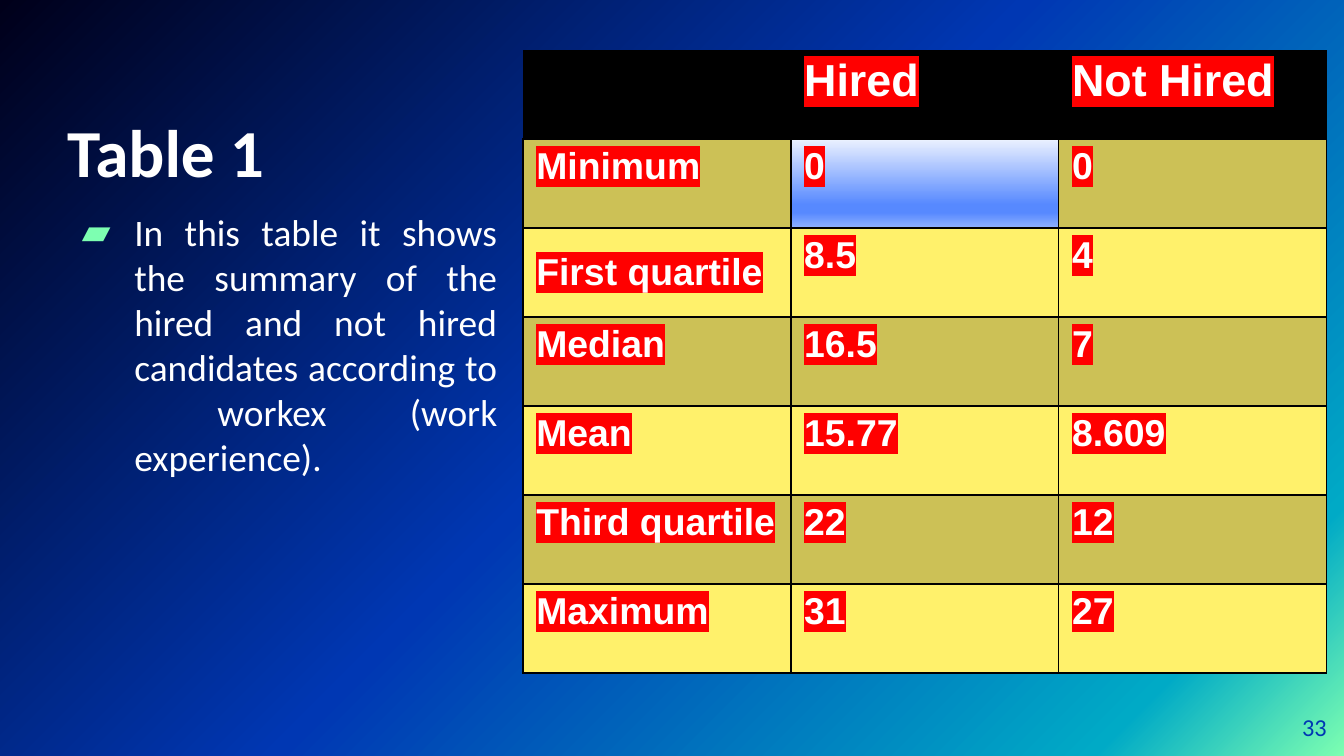
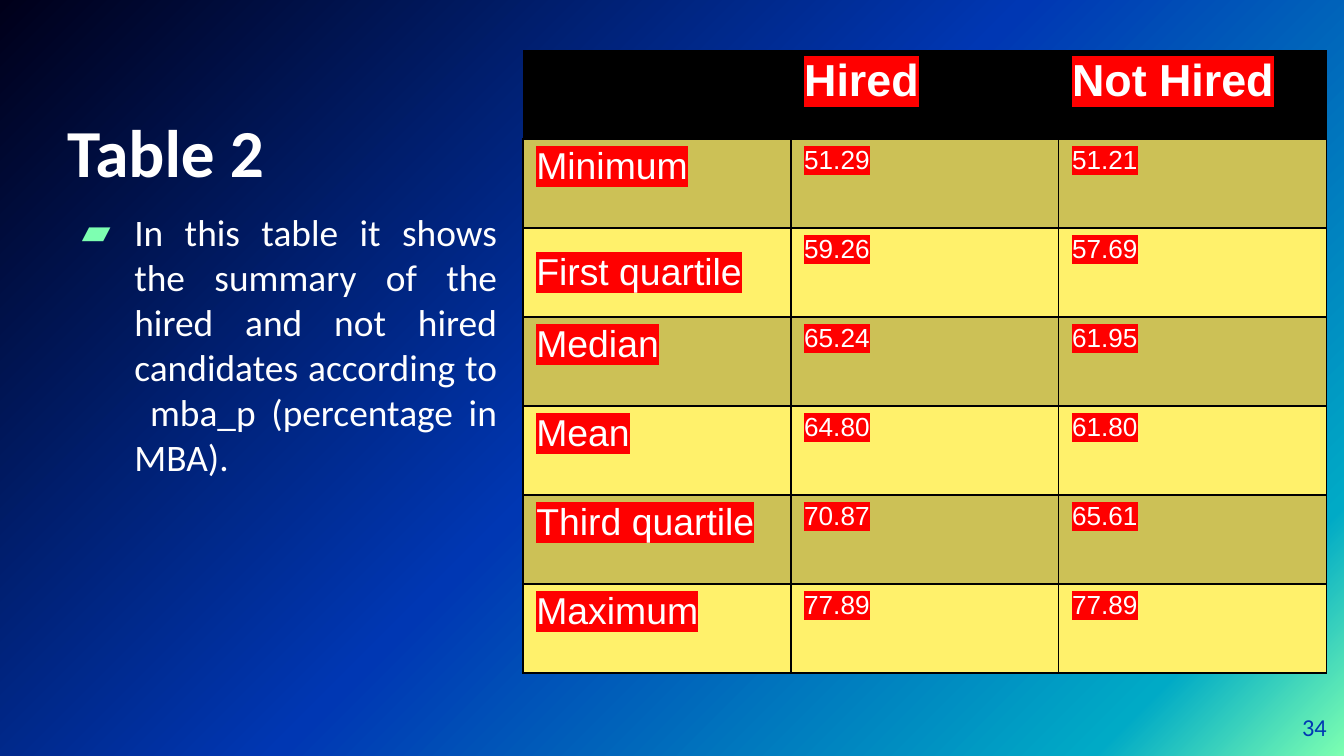
"""Build two slides that summarise hired and not hired candidates in tables."""
from lxml.etree import SubElement
from pptx import Presentation
from pptx.dml.color import RGBColor
from pptx.enum.text import MSO_ANCHOR, PP_ALIGN
from pptx.oxml.ns import qn
from pptx.util import Inches, Pt

COLORS = {
    "white": "FFFFFF",
    "black": "000000",
    "blue": "0037B3",
    "mint": "7DFFB1",
    "teal": "00AAC6",
    "night": "00001A",
    "red": "FF0000",
    "olive": "CCC156",
    "yellow": "FFF16B",
    "ice": "ECF2FF",
    "sky": "5789FF",
    "pale_sky": "8FB1FF",
}
BACKGROUND_STOPS = [(0, "mint"), (12, "teal"), (51, "blue"), (100, "night")]
CELL_STOPS = [(0, "ice"), (74, "sky"), (83, "sky"), (100, "pale_sky")]
PLAIN_TABLE_STYLE = "{2D5ABB26-0587-4C30-8999-92F81FD0307C}"
HEADERS = ["", "Hired", "Not Hired"]
MEASURES = ["Minimum", "First quartile", "Median", "Mean", "Third quartile", "Maximum"]

SUMMARIES = [
    {
        "title": "Table 1",
        "title_width": 6.59,
        "body": "In this table it shows the summary of the hired and not hired "
                "candidates according to  workex (work experience).",
        "number": 33,
        "hired": ["0", "8.5", "16.5", "15.77", "22", "31"],
        "not_hired": ["0", "4", "7", "8.609", "12", "27"],
        "value_size": 20,
        "bold": True,
        "gradient_cell": (1, 1),
    },
    {
        "title": "Table 2",
        "title_width": 3.29,
        "body": "In this table it shows the summary of the hired and not hired "
                "candidates according to  mba_p (percentage in MBA).",
        "number": 34,
        "hired": ["51.29", "59.26", "65.24", "64.80", "70.87", "77.89"],
        "not_hired": ["51.21", "57.69", "61.95", "61.80", "65.61", "77.89"],
        "value_size": 14,
        "bold": False,
        "gradient_cell": None,
    },
]


def write_text(paragraph, text, size, color="white", font="Calibri", bold=False,
               align=PP_ALIGN.LEFT, highlight=None):
    """Add one formatted run to a paragraph."""
    paragraph.alignment = align
    run = paragraph.add_run()
    run.text = text
    run.font.size = Pt(size)
    run.font.bold = bold
    run.font.color.rgb = RGBColor.from_string(COLORS[color])
    if highlight:
        marker = SubElement(run.font._element, qn("a:highlight"))
        SubElement(marker, qn("a:srgbClr"), val=COLORS[highlight])
    run.font.name = font


def paint_gradient(fill, owner, stops, angle):
    """Fill the owner element with a linear gradient, angle in clockwise degrees."""
    fill.gradient()
    gradient = owner.find(".//" + qn("a:gradFill"))
    for child in list(gradient):
        gradient.remove(child)
    stop_list = SubElement(gradient, qn("a:gsLst"))
    for position, color in stops:
        stop = SubElement(stop_list, qn("a:gs"), pos=str(position * 1000))
        SubElement(stop, qn("a:srgbClr"), val=COLORS[color])
    SubElement(gradient, qn("a:lin"), ang=str(angle * 60000), scaled="0")


class SummaryDeck:
    """Hold the presentation style and the current slide."""

    def __init__(self):
        """Start an empty widescreen presentation."""
        self.presentation = Presentation()
        self.presentation.slide_width = Inches(10)
        self.presentation.slide_height = Inches(10) * 9 // 16
        self.slide = None

    def add_slide(self):
        """Add a blank slide with the gradient background."""
        self.slide = self.presentation.slides.add_slide(self.presentation.slide_layouts[6])
        paint_gradient(self.slide.background.fill, self.slide.element, BACKGROUND_STOPS, 225)

    def add_text(self, text, left, top, width, height, anchor=MSO_ANCHOR.TOP, **style):
        """Add a wrapped text box without margins and return its paragraph."""
        box = self.slide.shapes.add_textbox(
            Inches(left), Inches(top), Inches(width), Inches(height))
        frame = box.text_frame
        frame.word_wrap = True
        frame.vertical_anchor = anchor
        frame.margin_left = frame.margin_right = frame.margin_top = frame.margin_bottom = 0
        write_text(frame.paragraphs[0], text, **style)
        return frame.paragraphs[0]

    def add_title(self, text, width):
        """Add the slide title."""
        self.add_text(text, 0.5, 0.48, width, 0.94, MSO_ANCHOR.BOTTOM, size=36, bold=True)

    def add_body(self, text):
        """Add the justified paragraph with its mint bullet."""
        paragraph = self.add_text(text, 0.5, 1.56, 3.2, 3.45, size=20, align=PP_ALIGN.JUSTIFY)
        paragraph.space_before = Pt(6)
        properties = paragraph._p.get_or_add_pPr()
        properties.set("marL", str(Inches(0.5)))
        properties.set("indent", str(Inches(-0.39)))
        bullet_color = SubElement(properties, qn("a:buClr"))
        SubElement(bullet_color, qn("a:srgbClr"), val=COLORS["mint"])
        SubElement(properties, qn("a:buFont"), typeface="Calibri")
        SubElement(properties, qn("a:buChar"), char="▰")

    def add_number(self, number):
        """Add the slide number in the bottom right corner."""
        self.add_text(str(number), 9.27, 5.19, 0.6, 0.43, MSO_ANCHOR.MIDDLE,
                      size=13, color="blue", align=PP_ALIGN.RIGHT)

    def add_cell(self, cell, text, fill, sides, **style):
        """Set the borders, fill and highlighted text of one cell."""
        properties = cell._tc.get_or_add_tcPr()
        for side in sides:
            line = SubElement(properties, qn(f"a:ln{side}"), w=str(Pt(1)))
            solid = SubElement(line, qn("a:solidFill"))
            SubElement(solid, qn("a:srgbClr"), val=COLORS["black"])
        if fill == "gradient":
            paint_gradient(cell.fill, cell._tc, CELL_STOPS, 90)
        else:
            cell.fill.solid()
            cell.fill.fore_color.rgb = RGBColor.from_string(COLORS[fill])
        if text:
            write_text(cell.text_frame.paragraphs[0], text,
                       font="Arial", highlight="red", **style)

    def add_table(self, hired, not_hired, value_size, bold, gradient_cell):
        """Add the summary table with a black header and banded rows."""
        rows = [HEADERS, *zip(MEASURES, hired, not_hired)]
        frame = self.slide.shapes.add_table(
            len(rows), len(HEADERS), Inches(3.89), Inches(0.37), Inches(5.98), Inches(4.64))
        table = frame.table
        table.first_row = table.horz_banding = False
        table._tbl.tblPr.find(qn("a:tableStyleId")).text = PLAIN_TABLE_STYLE
        for row_index, row in enumerate(rows):
            for column_index, text in enumerate(row):
                cell = table.cell(row_index, column_index)
                if row_index == 0:
                    self.add_cell(cell, text, "black", "B", size=24, bold=True)
                    continue
                fill = "olive" if row_index % 2 else "yellow"
                if (row_index, column_index) == gradient_cell:
                    fill = "gradient"
                size = value_size if column_index else 20
                self.add_cell(cell, text, fill, "LRTB", size=size, bold=bold)
                if text == "First quartile":
                    cell.vertical_anchor = MSO_ANCHOR.MIDDLE


def main():
    """Build every summary slide and save the presentation."""
    deck = SummaryDeck()
    for summary in SUMMARIES:
        deck.add_slide()
        deck.add_title(summary["title"], summary["title_width"])
        deck.add_body(summary["body"])
        deck.add_number(summary["number"])
        deck.add_table(summary["hired"], summary["not_hired"], summary["value_size"],
                       summary["bold"], summary["gradient_cell"])
    deck.presentation.save("out.pptx")


if __name__ == "__main__":
    main()
